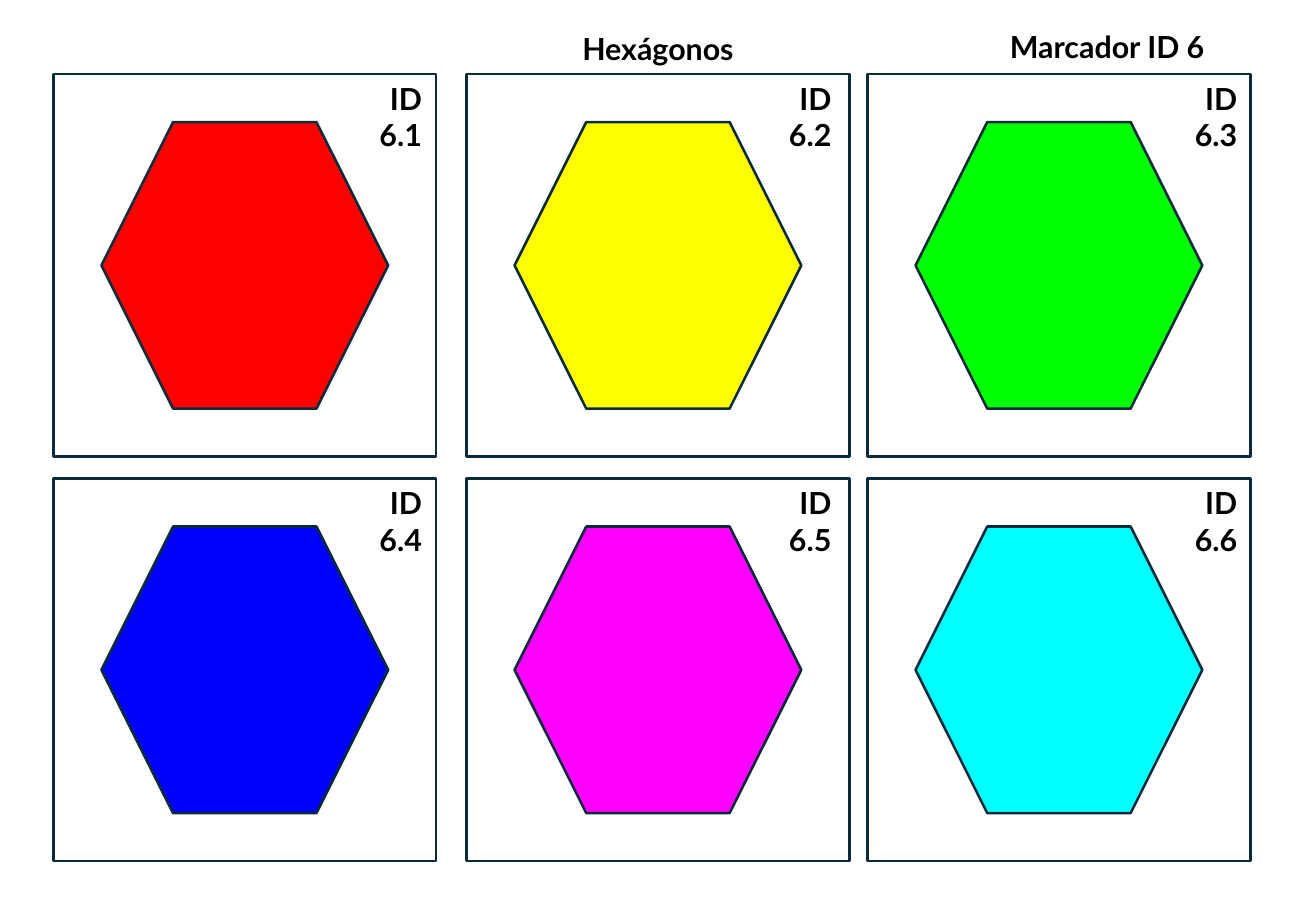
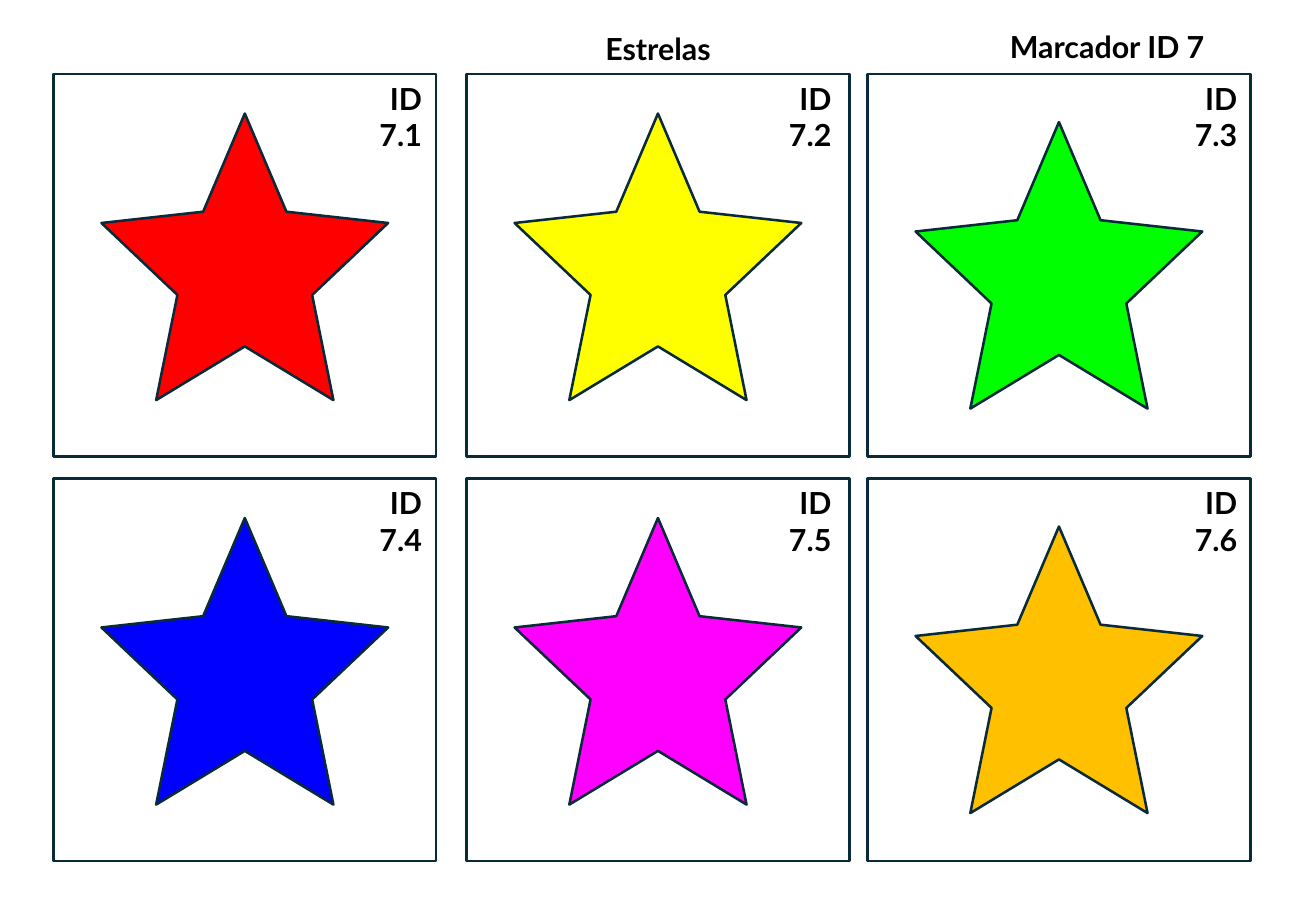
from itertools import product

from pptx import Presentation
from pptx.dml.color import RGBColor
from pptx.enum.shapes import MSO_SHAPE
from pptx.enum.text import MSO_AUTO_SIZE, PP_ALIGN
from pptx.util import Inches, Pt

FONT = "Lato"
TEXT_COLOR = "000000"
OUTLINE_COLOR = "092A39"
CARD_SIZE = 3.15
FIGURE_SIZE = 2.36
FIGURE_INSET = (CARD_SIZE - FIGURE_SIZE) / 2
LABEL_WIDTH = 0.85
TEXT_HEIGHT = 0.4
ROW_TOPS = (0.61, 3.94)
COLUMNS = ((0.44, 2.72), (3.84, 6.09), (7.14, 9.43))  # card left, label left

BASE_COLORS = ("FF0000", "FFFF00", "00FF00", "0000FF", "FF00FF")
STAR_ADJUSTMENT = 0.235
STAR_LIFTS = (0.07, 0.07, 0)  # by column


def color(hex_value):
    return RGBColor.from_string(hex_value)


def add_outlined_shape(slide, kind, left, top, size, fill=None):
    shape = slide.shapes.add_shape(
        kind, Inches(left), Inches(top), Inches(size), Inches(size))
    shape.shadow.inherit = False
    if fill:
        shape.fill.solid()
        shape.fill.fore_color.rgb = color(fill)
    else:
        shape.fill.background()
    shape.line.color.rgb = color(OUTLINE_COLOR)
    shape.line.width = Pt(1.5)
    return shape


def add_text(slide, text, left, top, width, alignment=PP_ALIGN.RIGHT):
    box = slide.shapes.add_textbox(
        Inches(left), Inches(top), Inches(width), Inches(TEXT_HEIGHT))
    text_frame = box.text_frame
    text_frame.word_wrap = True
    text_frame.auto_size = MSO_AUTO_SIZE.SHAPE_TO_FIT_TEXT
    text_frame.text = text
    paragraph = text_frame.paragraphs[0]
    paragraph.alignment = alignment
    font = paragraph.runs[0].font
    font.name = FONT
    font.size = Pt(18)
    font.bold = True
    font.color.rgb = color(TEXT_COLOR)


def add_card(slide, left, top, label, label_left, kind, fill, lift):
    """Place a frame, its centred figure (raised by lift) and its label."""
    add_outlined_shape(slide, MSO_SHAPE.RECTANGLE, left, top, CARD_SIZE)
    figure = add_outlined_shape(
        slide, kind, left + FIGURE_INSET, top + FIGURE_INSET - lift,
        FIGURE_SIZE, fill)
    if kind == MSO_SHAPE.STAR_5_POINT:
        figure.adjustments[0] = STAR_ADJUSTMENT
    add_text(slide, label, label_left, top, LABEL_WIDTH)


def add_marker_slide(presentation, title, marker, kind, last_color,
                     lifts=(0, 0, 0)):
    slide = presentation.slides.add_slide(presentation.slide_layouts[6])
    add_text(slide, f"Marcador ID {marker}", 7.42, 0.18, 2.59)
    add_text(slide, title, 3.41, 0.2, 4.01, PP_ALIGN.CENTER)
    cells = product(ROW_TOPS, zip(COLUMNS, lifts))
    fills = (*BASE_COLORS, last_color)
    for number, (cell, fill) in enumerate(zip(cells, fills), start=1):
        top, ((left, label_left), lift) = cell
        add_card(slide, left, top, f"ID {marker}.{number}", label_left,
                 kind, fill, lift)


def main():
    presentation = Presentation()
    presentation.slide_width = Inches(10.83)
    presentation.slide_height = Inches(7.5)
    add_marker_slide(presentation, "Hexágonos", 6, MSO_SHAPE.HEXAGON, "00FFFF")
    add_marker_slide(presentation, "Estrelas", 7, MSO_SHAPE.STAR_5_POINT,
                     "FFC000", STAR_LIFTS)
    presentation.save("out.pptx")


if __name__ == "__main__":
    main()
